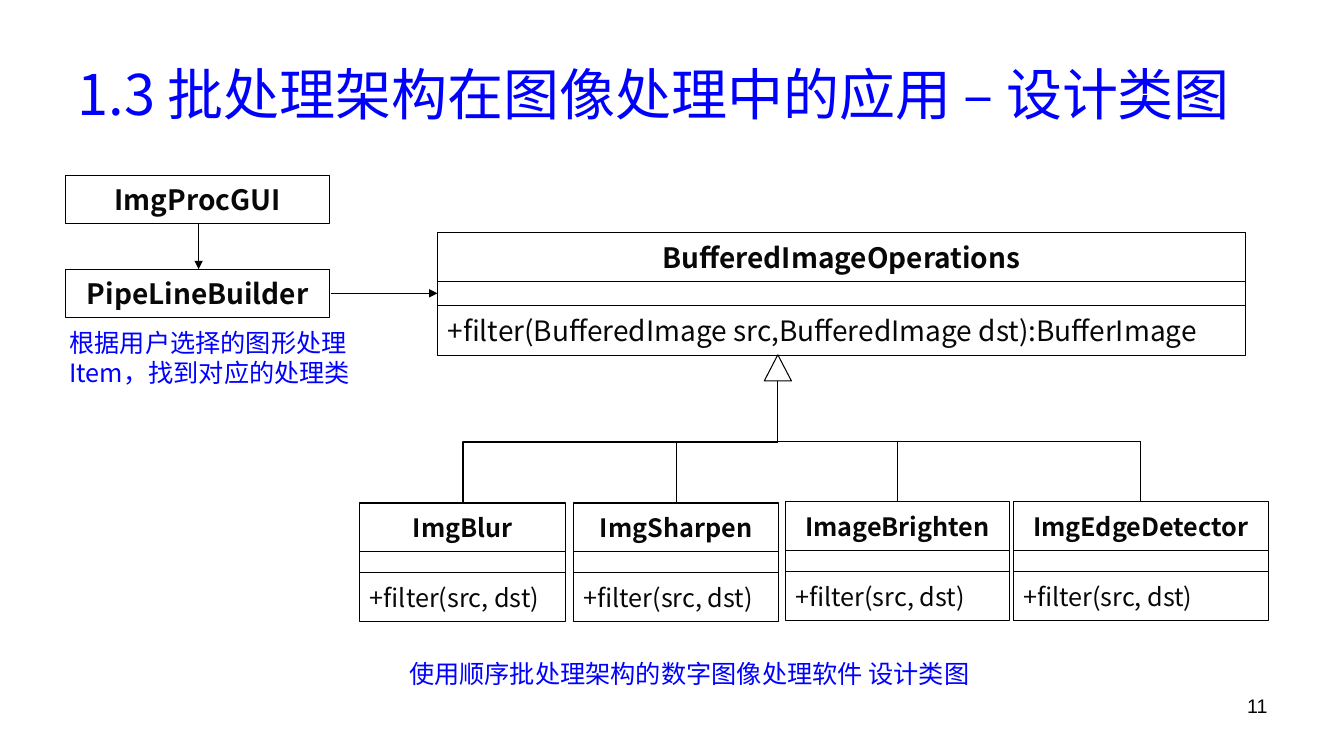
from lxml import etree
from pptx import Presentation
from pptx.dml.color import RGBColor
from pptx.enum.shapes import MSO_CONNECTOR, MSO_SHAPE
from pptx.enum.text import MSO_ANCHOR, PP_ALIGN
from pptx.oxml.ns import qn
from pptx.util import Inches, Pt

RECT, TRIANGLE = MSO_SHAPE.RECTANGLE, MSO_SHAPE.ISOSCELES_TRIANGLE
STRAIGHT, ELBOW = MSO_CONNECTOR.STRAIGHT, MSO_CONNECTOR.ELBOW
LEFT, CENTER, RIGHT = PP_ALIGN.LEFT, PP_ALIGN.CENTER, PP_ALIGN.RIGHT
TOP, MIDDLE = MSO_ANCHOR.TOP, MSO_ANCHOR.MIDDLE

COLORS = {"heading": "0000FF", "label": "080808", "line": "000000", "fill": "FFFFFF"}


class DiagramSlide:
    font_name = "Noto Sans CJK SC"

    def __init__(self, slide):
        self.shapes = slide.shapes

    def color(self, name):
        return RGBColor.from_string(COLORS[name])

    def set_text(self, frame, text, size, color, align=LEFT, anchor=TOP, bold=False, font_name=None):
        frame.word_wrap = True
        frame.vertical_anchor = anchor
        paragraph = frame.paragraphs[0]
        paragraph.text = text
        paragraph.alignment = align
        font = paragraph.font
        font.name = font_name or self.font_name
        font.size = Pt(size)
        font.bold = bold
        font.color.rgb = self.color(color)
        defaults = paragraph._p.pPr.find(qn("a:defRPr"))
        east_asian = etree.Element(qn("a:ea"), typeface=font.name)
        defaults.find(qn("a:latin")).addnext(east_asian)

    def text(self, left, top, width, height, text, size, color="heading", **style):
        box = self.shapes.add_textbox(Inches(left), Inches(top), Inches(width), Inches(height))
        self.set_text(box.text_frame, text, size, color, **style)

    def shape(self, left, top, width, height, kind=RECT):
        shape = self.shapes.add_shape(kind, Inches(left), Inches(top), Inches(width), Inches(height))
        shape.shadow.inherit = False
        shape.fill.solid()
        shape.fill.fore_color.rgb = self.color("fill")
        shape.line.color.rgb = self.color("line")
        shape.line.width = Pt(0.75)
        return shape

    def class_name(self, left, top, width, height, name, size):
        box = self.shape(left, top, width, height)
        self.set_text(box.text_frame, name, size, "label", CENTER, MIDDLE, bold=True)

    def uml_class(self, left, top, width, heights, name, method, size):
        """Stack the name, empty attribute and method compartments."""
        name_height, attribute_height, method_height = heights
        self.class_name(left, top, width, name_height, name, size)
        attribute_top = top + name_height
        method_top = attribute_top + attribute_height
        self.shape(left, attribute_top, width, attribute_height)
        operation = self.shape(left, method_top, width, method_height)
        self.set_text(operation.text_frame, method, size, "label", LEFT, MIDDLE)

    def connector(self, kind, x1, y1, x2, y2):
        link = self.shapes.add_connector(kind, Inches(x1), Inches(y1), Inches(x2), Inches(y2))
        link.line.color.rgb = self.color("line")
        link.line.width = Pt(1)
        etree.SubElement(link._element.spPr, qn("a:effectLst"))
        return link

    def arrow(self, x1, y1, x2, y2):
        link = self.connector(STRAIGHT, x1, y1, x2, y2)
        etree.SubElement(link._element.spPr.find(qn("a:ln")), qn("a:tailEnd"), type="triangle")

    def inheritance(self, x1, y1, x2, y2):
        """Rise, run sideways and rise again: an elbow turned by 270 degrees."""
        center_x, center_y = (x1 + x2) / 2, (y1 + y2) / 2
        half_rise, half_run = (y1 - y2) / 2, (x2 - x1) / 2
        link = self.connector(ELBOW, center_x - half_rise, center_y - half_run,
                              center_x + half_rise, center_y + half_run)
        link._element.spPr.find(qn("a:xfrm")).set("rot", str(270 * 60000))


def main():
    prs = Presentation()
    prs.slide_width, prs.slide_height = Inches(13.33), Inches(7.5)
    slide = DiagramSlide(prs.slides.add_slide(prs.slide_layouts[6]))

    slide.text(0.67, 0.3, 12, 1.25, "1.3 批处理架构在图像处理中的应用 – 设计类图", 40, anchor=MIDDLE)
    slide.text(9.56, 6.83, 3.11, 0.52, "11", 14, "line", align=RIGHT, font_name="Arial")

    slide.uml_class(4.34, 2.31, 8.01, (0.48, 0.24, 0.5), "BufferedImageOperations",
                    "+filter(BufferedImage src,BufferedImage dst):BufferImage", 20)

    parent_x, parent_y = 7.71, 3.78
    slide.shape(7.58, 3.52, 0.27, 0.26, TRIANGLE)
    filters = [  # name, left, top, width, link x
        ("ImgBlur", 3.57, 4.99, 2.04, 4.59),
        ("ImgSharpen", 5.69, 4.99, 2.03, 6.71),
        ("ImageBrighten", 7.79, 4.98, 2.22, 8.9),
        ("ImgEdgeDetector", 10.05, 4.98, 2.53, 11.31),
    ]
    for name, left, top, width, link_x in filters:
        slide.uml_class(left, top, width, (0.48, 0.21, 0.49), name, "+filter(src, dst)", 18)
        slide.inheritance(link_x, top, parent_x, parent_y)

    for name, top in (("ImgProcGUI", 1.74), ("PipeLineBuilder", 2.67)):
        slide.class_name(0.65, top, 2.62, 0.48, name, 20)
    slide.arrow(1.97, 2.22, 1.97, 2.67)
    slide.arrow(3.28, 2.91, 4.34, 2.91)

    slide.text(3.96, 6.48, 7.16, 0.4, "使用顺序批处理架构的数字图像处理软件 设计类图", 18)
    slide.text(0.59, 3.2, 3.66, 0.71, "根据用户选择的图形处理Item，找到对应的处理类", 18)

    prs.save("out.pptx")


if __name__ == "__main__":
    main()
